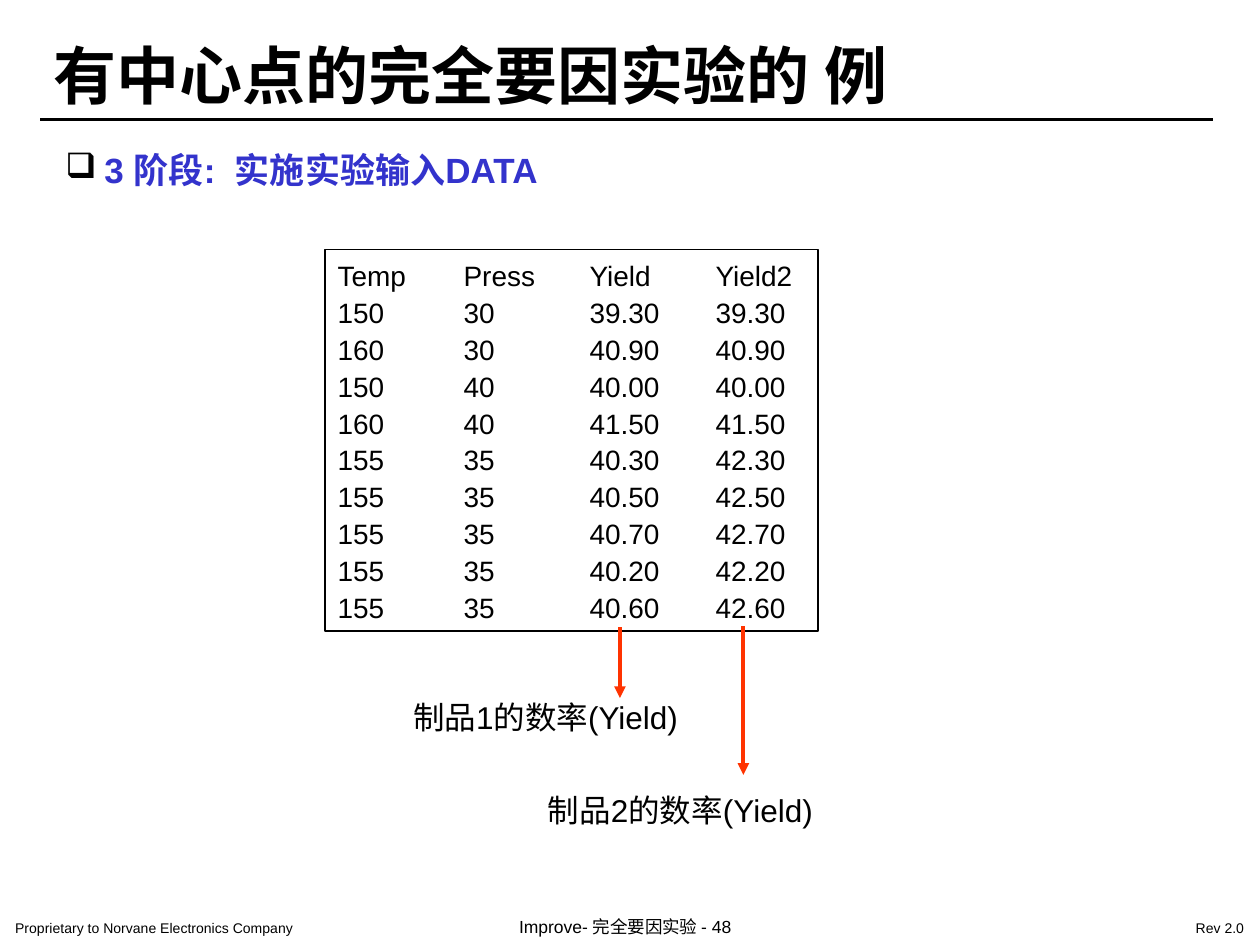
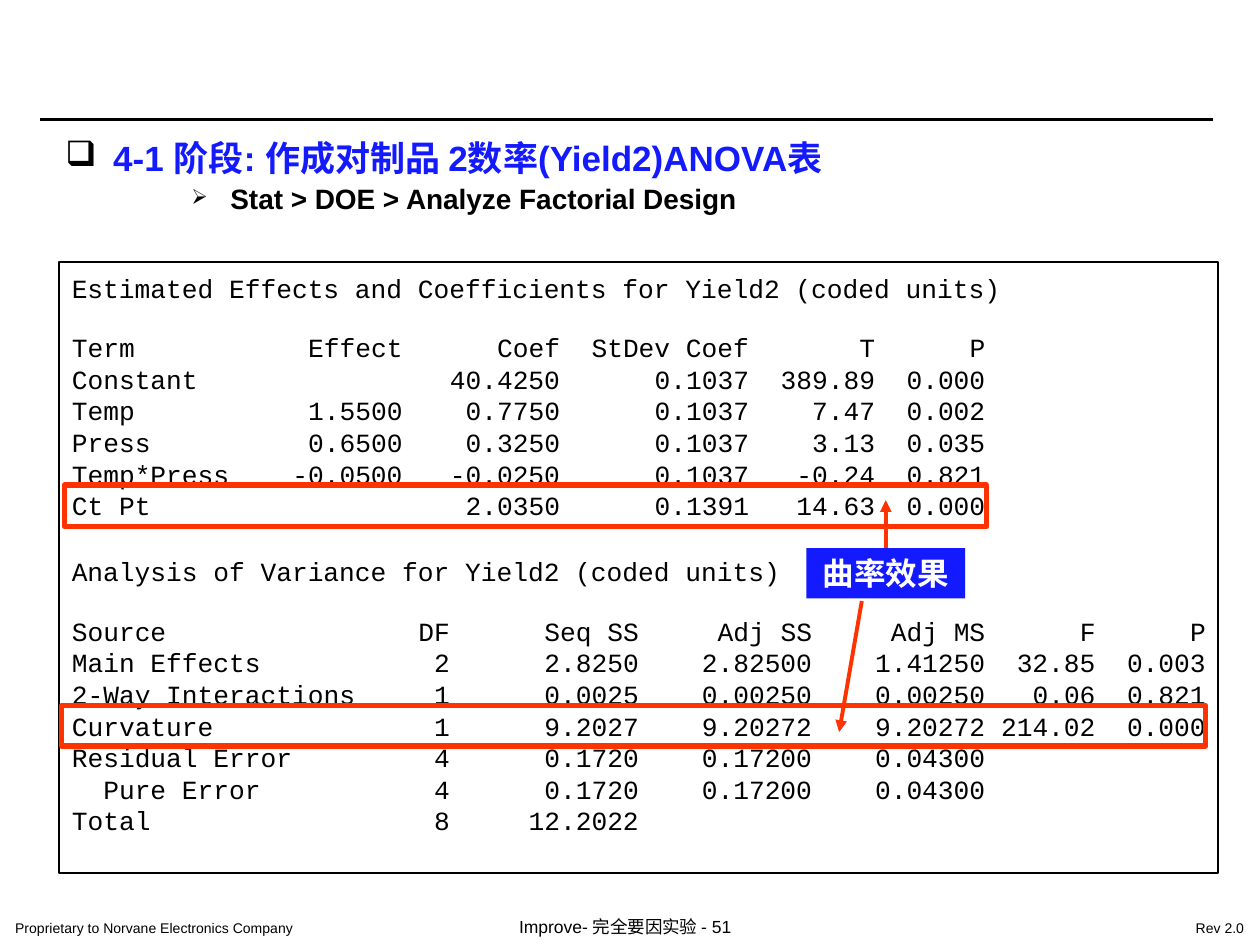
import pptx
import pptx.dml.color
import pptx.enum.shapes
import pptx.enum.text
import pptx.oxml
import pptx.oxml.ns
import pptx.util
from pptx.util import Inches

BLACK, WHITE = "000000", "FFFFFF"
INDIGO, BLUE, RED = "3333CC", "141AFE", "FF3300"
SANS, MONO, CHINESE = "Arial", "Courier New", "Noto Sans CJK KR"
NO_GRID_STYLE = "{2D5ABB26-0587-4C30-8999-92F81FD0307C}"
LEFT = pptx.enum.text.PP_ALIGN.LEFT
CENTER = pptx.enum.text.PP_ALIGN.CENTER
RIGHT = pptx.enum.text.PP_ALIGN.RIGHT
MIDDLE = pptx.enum.text.MSO_ANCHOR.MIDDLE
CHARACTER = 0.125
LINE = 0.25

MEASUREMENTS = [
    ["Temp", "Press", "Yield", "Yield2"],
    ["150", "30", "39.30", "39.30"],
    ["160", "30", "40.90", "40.90"],
    ["150", "40", "40.00", "40.00"],
    ["160", "40", "41.50", "41.50"],
    ["155", "35", "40.30", "42.30"],
    ["155", "35", "40.50", "42.50"],
    ["155", "35", "40.70", "42.70"],
    ["155", "35", "40.20", "42.20"],
    ["155", "35", "40.60", "42.60"],
]
EFFECTS = [
    ["Term", "Effect", "Coef", "StDev Coef", "T", "P"],
    ["Constant", "", "40.4250", "0.1037", "389.89", "0.000"],
    ["Temp", "1.5500", "0.7750", "0.1037", "7.47", "0.002"],
    ["Press", "0.6500", "0.3250", "0.1037", "3.13", "0.035"],
    ["Temp*Press", "-0.0500", "-0.0250", "0.1037", "-0.24", "0.821"],
    ["Ct Pt", "", "2.0350", "0.1391", "14.63", "0.000"],
]
VARIANCE = [
    ["Source", "DF", "Seq SS", "Adj SS", "Adj MS", "F", "P"],
    ["Main Effects", "2", "2.8250", "2.82500", "1.41250", "32.85", "0.003"],
    ["2-Way Interactions", "1", "0.0025", "0.00250", "0.00250", "0.06", "0.821"],
    ["Curvature", "1", "9.2027", "9.20272", "9.20272", "214.02", "0.000"],
    ["Residual Error", "4", "0.1720", "0.17200", "0.04300", "", ""],
    ["  Pure Error", "4", "0.1720", "0.17200", "0.04300", "", ""],
    ["Total", "8", "12.2022", "", "", "", ""],
]
EFFECT_WIDTHS = [11, 10, 10, 12, 8, 7]
VARIANCE_WIDTHS = [20, 4, 12, 11, 11, 7, 7]


def rgb(code):
    return pptx.dml.color.RGBColor.from_string(code)


def add_xml(parent, content):
    tag, rest = content.split(" ", 1)
    namespace = pptx.oxml.ns.nsdecls("a")
    parent.append(pptx.oxml.parse_xml(f"<a:{tag} {namespace} {rest}"))


def style_paragraph(para, size, color=BLACK, bold=False, font=SANS, align=LEFT):
    para.alignment = align
    for span in para.runs:
        span.font.size = pptx.util.Pt(size)
        span.font.bold = bold
        span.font.color.rgb = rgb(color)
        span.font.name = font
        add_xml(span.font._element, f'ea typeface="{CHINESE}"/>')


def set_margins(frame, side, end):
    frame.margin_left = frame.margin_right = Inches(side)
    frame.margin_top = frame.margin_bottom = Inches(end)


def add_text(page, place, text, size, margins=(0.1, 0.05), wrap=True, anchor=None, **style):
    box = page.shapes.add_textbox(*map(Inches, place))
    frame = box.text_frame
    frame.word_wrap = wrap
    set_margins(frame, *margins)
    if anchor is not None:
        frame.vertical_anchor = anchor
    frame.text = text
    for para in frame.paragraphs:
        style_paragraph(para, size, **style)
    return box


def add_bullet(para, symbol, hang, margin, percent=100):
    properties = para._p.get_or_add_pPr()
    properties.set("marL", str(Inches(margin)))
    properties.set("indent", str(Inches(-hang)))
    add_xml(properties, f'buClr ><a:srgbClr val="{BLACK}"/></a:buClr>')
    add_xml(properties, f'buSzPct val="{percent * 1000}"/>')
    add_xml(properties, f'buChar char="{symbol}"/>')


def add_heading(page, place, text, color, hang, spacing):
    box = add_text(page, place, text, 20, color=color, bold=True)
    para = box.text_frame.paragraphs[0]
    para.line_spacing = spacing
    add_bullet(para, "❑", hang, hang)
    return box


def add_rectangle(page, place, line=None, width=1, fill=None):
    box = page.shapes.add_shape(
        pptx.enum.shapes.MSO_SHAPE.RECTANGLE, *map(Inches, place))
    box.shadow.inherit = False
    if fill:
        box.fill.solid()
        box.fill.fore_color.rgb = rgb(fill)
    else:
        box.fill.background()
    if line:
        box.line.color.rgb = rgb(line)
        box.line.width = pptx.util.Pt(width)
    else:
        box.line.fill.background()
    return box


def add_line(page, start, end, color=BLACK, width=1.5):
    line = page.shapes.add_connector(
        pptx.enum.shapes.MSO_CONNECTOR.STRAIGHT, *map(Inches, start + end))
    line.line.color.rgb = rgb(color)
    line.line.width = pptx.util.Pt(width)
    add_xml(line._element.spPr, "effectLst />")
    return line


def add_arrow(page, start, end):
    arrow = add_line(page, start, end, RED, 2.25)
    add_xml(arrow.line._get_or_add_ln(), 'tailEnd type="triangle"/>')
    return arrow


def add_grid(page, left, top, widths, row_height, rows, size, font, number_align):
    frame = page.shapes.add_table(
        len(rows), len(widths), Inches(left), Inches(top),
        Inches(sum(widths)), Inches(row_height * len(rows)))
    frame._element.find(".//" + pptx.oxml.ns.qn("a:tableStyleId")).text = NO_GRID_STYLE
    table = frame.table
    table.first_row = table.horz_banding = False
    for column, width in zip(table.columns, widths):
        column.width = Inches(width)
    for row, values in zip(table.rows, rows):
        row.height = Inches(row_height)
        for index, (cell, value) in enumerate(zip(row.cells, values)):
            cell.fill.background()
            set_margins(cell, 0, 0)
            cell.vertical_anchor = MIDDLE
            cell.text_frame.word_wrap = False
            cell.text_frame.text = value
            para = cell.text_frame.paragraphs[0]
            style_paragraph(para, size, font=font, align=number_align if index else LEFT)
            para.font.size = pptx.util.Pt(size)


def add_report(page, top, title, widths, rows):
    left = 0.57
    add_text(page, (left, top, 7.5, LINE), title, 15, margins=(0, 0),
             wrap=False, anchor=MIDDLE, font=MONO)
    add_grid(page, left, top + 2 * LINE, [count * CHARACTER for count in widths],
             LINE, rows, 15, MONO, RIGHT)


def add_page(deck, number):
    page = deck.slides.add_slide(deck.slide_layouts[6])
    footers = [
        ((0, 7.24, 3.21, 0.25), "Proprietary to Norvane Electronics Company", 8, True),
        ((4, 7.21, 2.48, 0.29), f"Improve- 完全要因实验 - {number}", 10, False),
        ((9.37, 7.24, 0.63, 0.25), "Rev 2.0", 8, False),
    ]
    for place, text, size, wrap in footers:
        add_text(page, place, text, size, margins=(0.12, 0.06), wrap=wrap)
    add_line(page, (0.32, 0.95), (9.63, 0.95))
    return page


def build_data_page(deck):
    page = add_page(deck, 48)
    add_text(page, (0.33, 0.32, 9.21, 0.54), "有中心点的完全要因实验的 例", 36,
             anchor=MIDDLE, bold=True)
    add_heading(page, (0.42, 1.1, 8.42, 5.92), "3 阶段:  实施实验输入DATA", INDIGO, 0.31, 1.1)
    add_rectangle(page, (2.58, 1.98, 3.91, 3.03), BLACK)
    add_grid(page, 2.68, 2.05, [1, 1, 1, 0.8], 2.93 / len(MEASUREMENTS),
             MEASUREMENTS, 16, SANS, LEFT)
    for product, left, top in [(1, 3.04, 5.49), (2, 4.11, 6.23)]:
        add_text(page, (left, top, 2.58, 0.4), f"制品{product}的数率(Yield)", 18, align=CENTER)
    add_arrow(page, (4.92, 4.98), (4.92, 5.54))
    add_arrow(page, (5.9, 4.97), (5.9, 6.15))


def build_anova_page(deck):
    page = add_page(deck, 51)
    heading = add_heading(page, (0.42, 1.07, 8.08, 0.67),
                          "4-1 阶段: 作成对制品 2数率(Yield2)ANOVA表", BLUE, 0.38, 0.9)
    para = heading.text_frame.add_paragraph()
    para.text = "Stat > DOE > Analyze Factorial Design"
    para.line_spacing = 0.9
    para.space_before = pptx.util.Pt(4)
    add_bullet(para, "➢", 0.31, 1.31, 75)
    style_paragraph(para, 16, bold=True)

    add_rectangle(page, (0.47, 2.08, 9.2, 4.85), BLACK)
    add_report(page, 2.16, "Estimated Effects and Coefficients for Yield2 (coded units)",
               EFFECT_WIDTHS, EFFECTS)
    add_report(page, 2.16 + 9 * LINE, "Analysis of Variance for Yield2 (coded units)",
               VARIANCE_WIDTHS, VARIANCE)
    add_rectangle(page, (0.51, 3.85, 7.32, 0.33), RED, 3)
    add_rectangle(page, (0.49, 5.6, 9.08, 0.32), RED, 3)

    label = add_rectangle(page, (6.4, 4.35, 1.26, 0.4), fill=BLUE)
    set_margins(label.text_frame, 0.1, 0.05)
    label.text_frame.text = "曲率效果"
    style_paragraph(label.text_frame.paragraphs[0], 18, WHITE, True, CHINESE, CENTER)
    effect_arrow = add_arrow(page, (7.03, 4.35), (7.03, 3.97))
    effect_arrow.begin_connect(label, 0)
    add_arrow(page, (6.84, 4.77), (6.66, 5.81))


def main():
    deck = pptx.Presentation()
    deck.slide_width = Inches(10)
    deck.slide_height = Inches(7.5)
    build_data_page(deck)
    build_anova_page(deck)
    deck.save("out.pptx")


if __name__ == "__main__":
    main()
